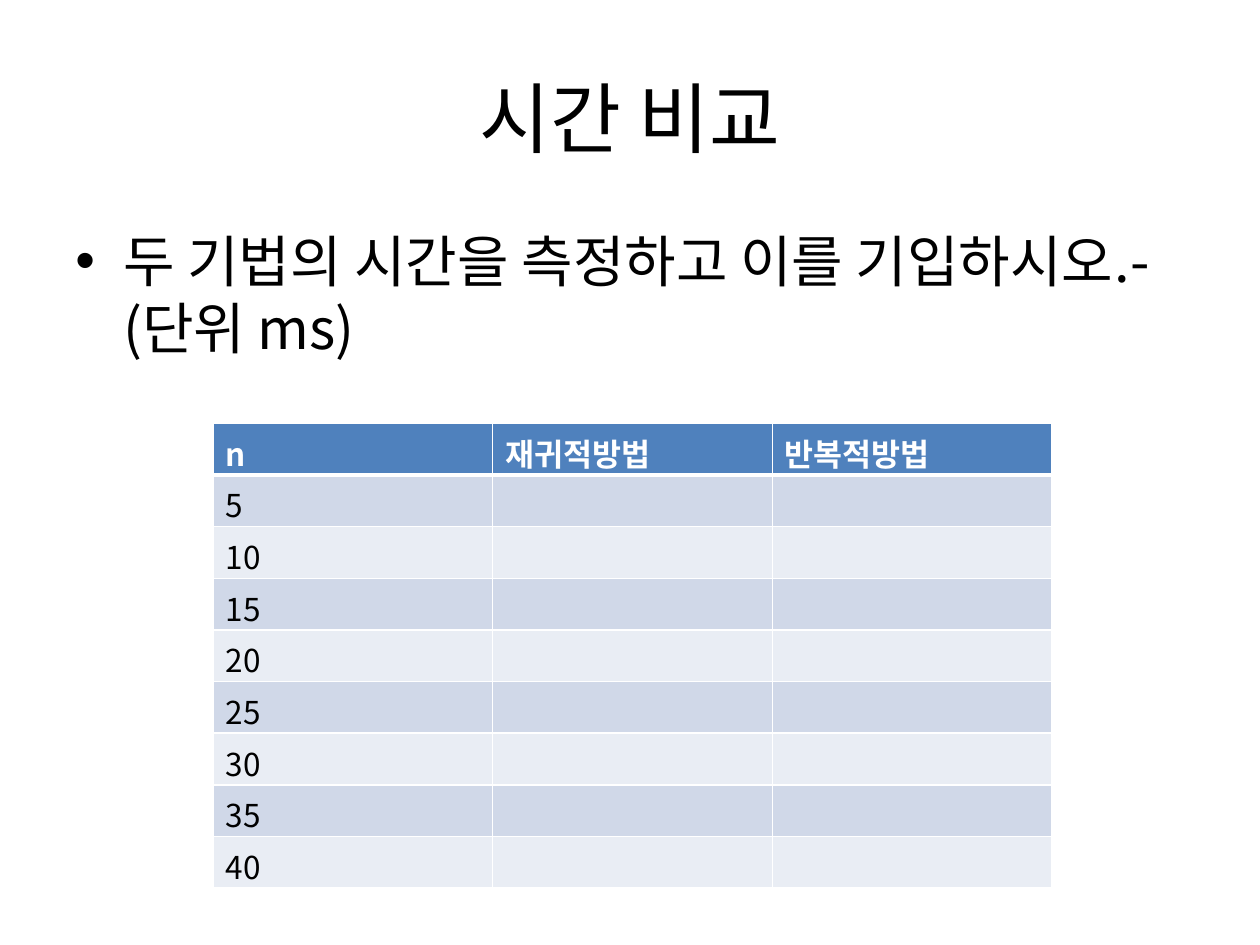
from lxml import etree
from pptx import Presentation
from pptx import util as u
from pptx.dml.color import RGBColor
from pptx.enum import text
from pptx.oxml.ns import qn

TITLE = "시간 비교"
TASK = "두 기법의 시간을 측정하고 이를 기입하시오.-(단위 ms)"
HEADERS = ["n", "재귀적방법", "반복적방법"]
SIZES = range(5, 45, 5)

FONT = "Noto Sans CJK KR"
BLACK, WHITE = "000000", "FFFFFF"
HEADER_FILL = "4F81BD"
BAND_FILLS = ["D0D8E8", "E9EDF4"]

SLIDE_WIDTH, SLIDE_HEIGHT = 10, 7.5
MARGIN = SLIDE_WIDTH / 20
COLUMN_WIDTH, ROW_HEIGHT = 2.22, 0.41
TABLE_LEFT, TABLE_TOP = 1.69, 3.36
INDENT = 0.38


def color(value):
    return RGBColor.from_string(value)


def style(font, size, value, bold=False):
    """Set the Latin and East Asian typeface, size, colour and weight."""
    font.name, font.size, font.bold = FONT, u.Pt(size), bold
    font.color.rgb = color(value)
    properties = font.fill._xPr
    latin = properties.find(qn("a:latin"))
    latin.addnext(etree.Element(qn("a:ea"), typeface=FONT))


def add_text(slide, top, height, content, size):
    box = slide.shapes.add_textbox(
        u.Inches(MARGIN), u.Inches(top),
        u.Inches(SLIDE_WIDTH - 2 * MARGIN), u.Inches(height))
    frame = box.text_frame
    frame.word_wrap = True
    frame.text = content
    paragraph = frame.paragraphs[0]
    style(paragraph.runs[0].font, size, BLACK)
    return frame, paragraph


def add_bullet(paragraph):
    properties = paragraph._p.get_or_add_pPr()
    properties.set("marL", str(u.Inches(INDENT)))
    properties.set("indent", str(-u.Inches(INDENT)))
    etree.SubElement(properties, qn("a:buFont"), typeface="Arial")
    etree.SubElement(properties, qn("a:buChar"), char="•")


def set_borders(cell, bottom):
    """Draw white cell borders, 1 point wide except at the bottom."""
    properties = cell._tc.get_or_add_tcPr()
    for side, width in zip("LRTB", (1, 1, 1, bottom)):
        line = etree.SubElement(properties, qn(f"a:ln{side}"), w=str(u.Pt(width)))
        fill = etree.SubElement(line, qn("a:solidFill"))
        etree.SubElement(fill, qn("a:srgbClr"), val=WHITE)


def add_time_table(slide):
    rows = [HEADERS] + [[str(size), "", ""] for size in SIZES]
    table = slide.shapes.add_table(
        len(rows), len(HEADERS), u.Inches(TABLE_LEFT), u.Inches(TABLE_TOP),
        u.Inches(COLUMN_WIDTH * len(HEADERS)),
        u.Inches(ROW_HEIGHT * len(rows))).table
    for row_index, row in enumerate(rows):
        header = row_index == 0
        fill = HEADER_FILL if header else BAND_FILLS[(row_index - 1) % 2]
        for column_index, content in enumerate(row):
            cell = table.cell(row_index, column_index)
            set_borders(cell, 3 if header else 1)
            cell.fill.solid()
            cell.fill.fore_color.rgb = color(fill)
            cell.text = content
            paragraph = cell.text_frame.paragraphs[0]
            if content:
                style(paragraph.runs[0].font, 18, WHITE if header else BLACK, header)


def main():
    presentation = Presentation()
    presentation.slide_width = u.Inches(SLIDE_WIDTH)
    presentation.slide_height = u.Inches(SLIDE_HEIGHT)
    slide = presentation.slides.add_slide(presentation.slide_layouts[6])

    frame, paragraph = add_text(slide, 0.3, 1.25, TITLE, 44)
    frame.vertical_anchor = text.MSO_ANCHOR.MIDDLE
    paragraph.alignment = text.PP_ALIGN.CENTER

    frame, paragraph = add_text(slide, 1.75, 4.95, TASK, 32)
    paragraph.space_before = u.Pt(6.4)
    add_bullet(paragraph)

    add_time_table(slide)
    presentation.save("out.pptx")


if __name__ == "__main__":
    main()
